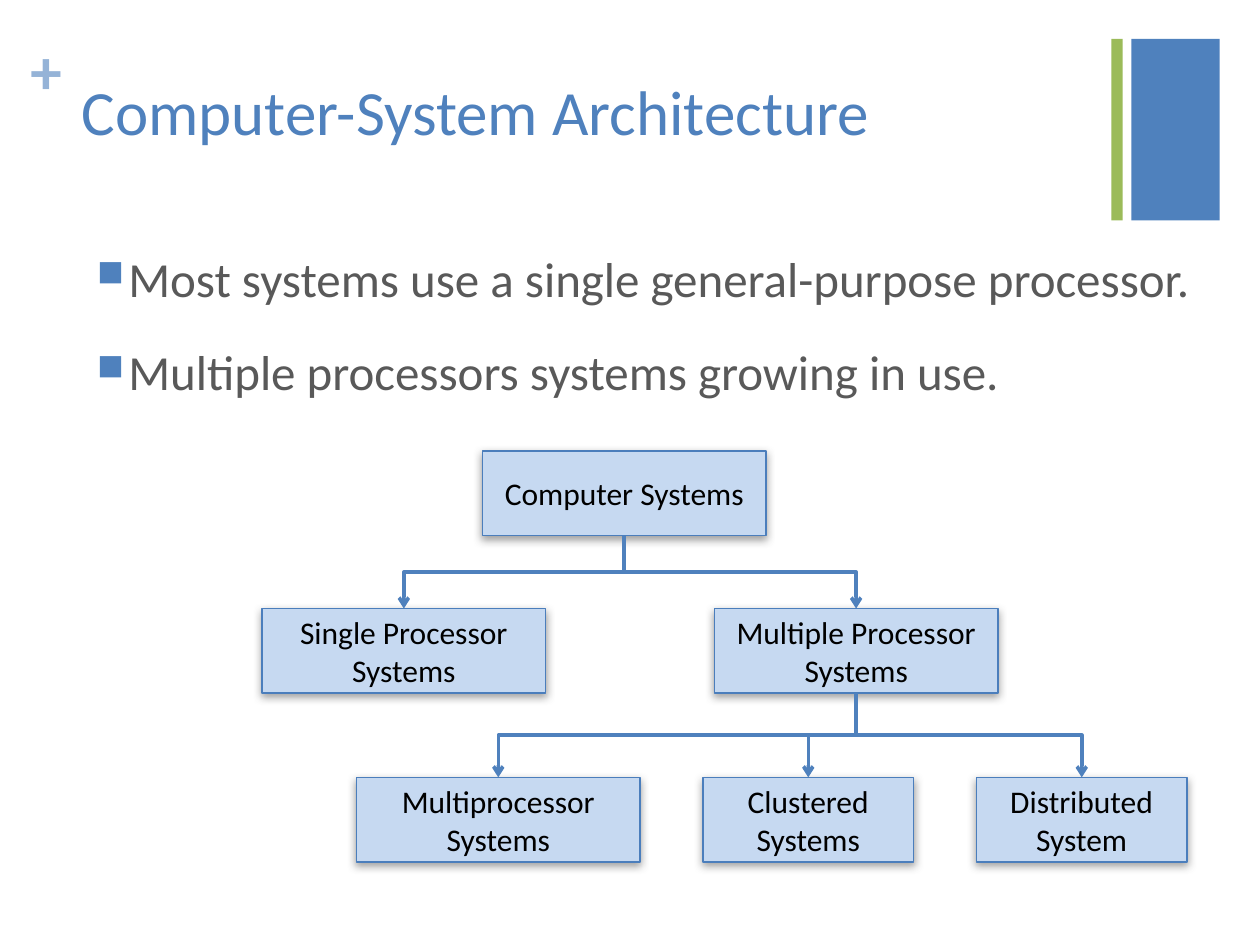
from typing import NamedTuple

from lxml import etree
from pptx import Presentation
from pptx import util as u
from pptx.dml.color import RGBColor
from pptx.enum import shapes, text
from pptx.oxml import ns

BLUE = RGBColor(0x4F, 0x81, 0xBD)
EDGE = RGBColor(0x4B, 0x7E, 0xBC)
PALE = RGBColor(0xC6, 0xD9, 0xF1)
SOFT = RGBColor(0x95, 0xB3, 0xD7)
GREEN = RGBColor(0x9B, 0xBB, 0x59)
GRAY = RGBColor(0x59, 0x59, 0x59)
SHADE = RGBColor(0x80, 0x80, 0x80)
BLACK = RGBColor(0, 0, 0)
FACE = "Calibri"
TALL = 0.67


class Node(NamedTuple):
    label: str
    left: float
    top: float
    width: float = 2.25


NODES = {
    "root": Node("Computer Systems", 3.83, 3.58),
    "single": Node("Single Processor Systems", 2.08, 4.83),
    "multi": Node("Multiple Processor Systems", 5.67, 4.83),
    "smp": Node("Multiprocessor Systems", 2.83, 6.17),
    "cluster": Node("Clustered\nSystems", 5.58, 6.17, 1.67),
    "dist": Node("Distributed\nSystem", 7.75, 6.17, 1.67),
}
LINKS = [("root", "single"), ("root", "multi"),
         ("multi", "smp"), ("multi", "cluster"), ("multi", "dist")]


def add(node, tag: str, **attrs: str):
    return etree.SubElement(node, ns.qn(tag), attrs)


def style(frame, size: float, color: RGBColor, bold: bool = False) -> None:
    for para in frame.paragraphs:
        for run in para.runs:
            font = run.font
            font.name, font.size, font.bold = FACE, u.Pt(size), bold
            font.color.rgb = color


def draw_rect(slide, left: float, top: float, width: float, height: float,
              fill: RGBColor):
    rect = slide.shapes.add_shape(
        shapes.MSO_SHAPE.RECTANGLE, *map(u.Inches, (left, top, width, height)))
    rect.shadow.inherit = False
    rect.fill.solid()
    rect.fill.fore_color.rgb = fill
    rect.line.fill.background()
    return rect


def draw_text(slide, words: str, left: float, top: float, width: float,
              height: float):
    box = slide.shapes.add_textbox(
        *map(u.Inches, (left, top, width, height)))
    frame = box.text_frame
    frame.word_wrap = True
    frame.text = words
    return frame


def draw_list(slide, items: list[str]) -> None:
    frame = draw_text(slide, "\n".join(items), 0.67, 1.92, 9.12, 5)
    for i, para in enumerate(frame.paragraphs):
        props = para._p.get_or_add_pPr()
        props.set("marL", str(u.Inches(0.25)))
        props.set("indent", str(-u.Inches(0.25)))
        if i:
            para.space_before = u.Pt(20)
        add(add(props, "a:buClr"), "a:srgbClr", val=str(BLUE))
        add(props, "a:buSzPct", val="75000")
        add(props, "a:buChar", char="■")
    style(frame, 28, GRAY)


def draw_node(slide, node: Node):
    box = draw_rect(slide, node.left, node.top, node.width, TALL, PALE)
    box.line.color.rgb = EDGE
    box.line.width = u.Pt(1)
    glow = add(box._element.spPr.find(ns.qn("a:effectLst")), "a:outerShdw",
               blurRad=str(u.Pt(5)), dist=str(u.Pt(2)), dir="5400000",
               rotWithShape="0")
    add(add(glow, "a:srgbClr", val=str(SHADE)), "a:alpha", val="75000")
    frame = box.text_frame
    frame.word_wrap = True
    frame.vertical_anchor = text.MSO_ANCHOR.MIDDLE
    frame.text = node.label
    for para in frame.paragraphs:
        para.alignment = text.PP_ALIGN.CENTER
    style(frame, 18, BLACK)
    return box


def draw_link(slide, start, end) -> None:
    """Join bottom to top with an elbow turned to leave its start vertically."""
    x1, y1 = start.left + start.width // 2, start.top + start.height
    x2, y2 = end.left + end.width // 2, end.top
    link = slide.shapes.add_connector(
        shapes.MSO_CONNECTOR.ELBOW, x1, y1, x2, y2)
    link.begin_connect(start, 2)
    link.end_connect(end, 0)
    long, wide = y2 - y1, abs(x2 - x1)
    link.left, link.top = (x1 + x2 - long) // 2, (y1 + y2 - wide) // 2
    link.width, link.height = long, wide
    right = x2 > x1
    props = link._element.spPr
    frame = props.find(ns.qn("a:xfrm"))
    frame.set("rot", str((270 if right else 90) * 60000))
    frame.set("flipH", "1" if right else "0")
    frame.set("flipV", "0")
    link.line.color.rgb = BLUE
    link.line.width = u.Pt(2)
    add(props.find(ns.qn("a:ln")), "a:tailEnd", type="arrow")
    add(props, "a:effectLst")


def main() -> None:
    deck = Presentation()
    deck.slide_width, deck.slide_height = u.Inches(10), u.Inches(7.5)
    slide = deck.slides.add_slide(deck.slide_layouts[6])

    draw_rect(slide, 8.98, 0.31, 0.7, 1.44, BLUE)
    plus = draw_text(slide, "+", 0.24, 0.25, 0.29, 0.61)
    plus.margin_left = plus.margin_right = 0
    plus.margin_top = plus.margin_bottom = 0
    plus.word_wrap = False
    style(plus, 36, SOFT, bold=True)
    draw_rect(slide, 8.82, 0.31, 0.09, 1.44, GREEN)

    title = draw_text(slide, "Computer-System Architecture",
                      0.55, 0.53, 8.26, 1.22)
    style(title, 36, BLUE)
    draw_list(slide, ["Most systems use a single general-purpose processor.",
                      "Multiple processors systems growing in use."])

    boxes = {key: draw_node(slide, node) for key, node in NODES.items()}
    for start, end in LINKS:
        draw_link(slide, boxes[start], boxes[end])
    deck.save("out.pptx")


if __name__ == "__main__":
    main()
